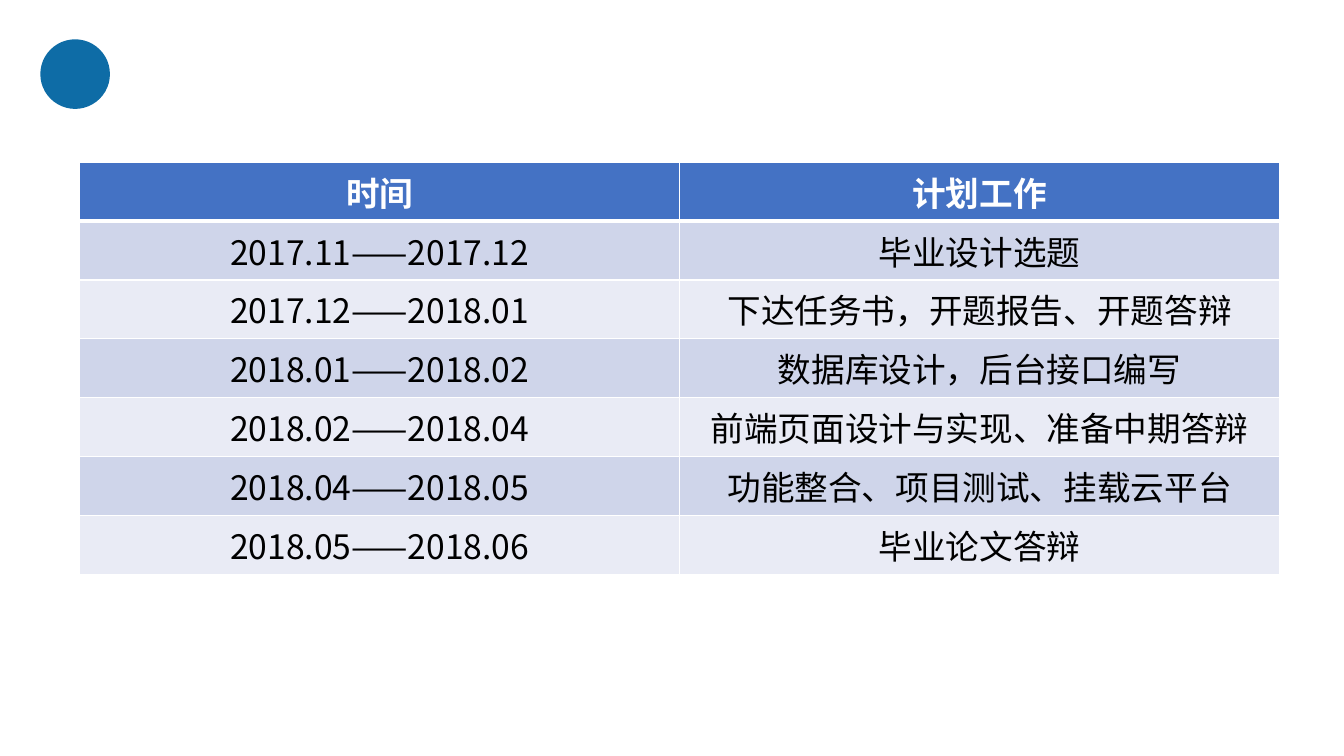
import pptx
import pptx.dml.color
import pptx.enum.shapes
import pptx.enum.text
import pptx.oxml.ns
import pptx.util
from lxml import etree

Inches = pptx.util.Inches
Pt = pptx.util.Pt
RGB = pptx.dml.color.RGBColor.from_string
qn = pptx.oxml.ns.qn

FONT = "Noto Sans CJK SC"
COLORS = {
    "dot": "0E6CA6",
    "header": "4472C4",
    "odd": "CFD5EA",
    "even": "E9EBF5",
    "white": "FFFFFF",
    "black": "000000",
}
SCHEDULE = [
    ("时间", "计划工作"),
    ("2017.11——2017.12", "毕业设计选题"),
    ("2017.12——2018.01", "下达任务书，开题报告、开题答辩"),
    ("2018.01——2018.02", "数据库设计，后台接口编写"),
    ("2018.02——2018.04", "前端页面设计与实现、准备中期答辩"),
    ("2018.04——2018.05", "功能整合、项目测试、挂载云平台"),
    ("2018.05——2018.06", "毕业论文答辩"),
]
ROW_HEIGHTS = [0.42] + [0.5] * 3 + [0.56] * 3


def add_border(cell, side, width):
    """Draw a white border on one side (L, R, T or B), width in points."""
    pr = cell._tc.get_or_add_tcPr()
    ln = etree.Element(qn("a:ln" + side), w=str(Pt(width)))
    fill = etree.SubElement(ln, qn("a:solidFill"))
    etree.SubElement(fill, qn("a:srgbClr"), val=COLORS["white"])
    pr.insert(len(pr.findall("*")), ln)


prs = pptx.Presentation()
prs.slide_width, prs.slide_height = Inches(13.33), Inches(7.5)
s = prs.slides.add_slide(prs.slide_layouts[6])

dot = s.shapes.add_shape(pptx.enum.shapes.MSO_SHAPE.OVAL,
                         Inches(0.4), Inches(0.39), Inches(0.69), Inches(0.69))
dot.shadow.inherit = False
dot.fill.solid()
dot.fill.fore_color.rgb = RGB(COLORS["dot"])
dot.line.fill.background()

table = s.shapes.add_table(len(SCHEDULE), 2, Inches(0.79), Inches(1.61),
                           Inches(11.9), Inches(sum(ROW_HEIGHTS))).table
for i, (texts, height) in enumerate(zip(SCHEDULE, ROW_HEIGHTS)):
    table.rows[i].height = Inches(height)
    is_header = i == 0
    band = "header" if is_header else "odd" if i % 2 else "even"
    for j, text in enumerate(texts):
        cell = table.cell(i, j)
        for side in "LRTB":
            thick = (is_header and side == "B") or (i == 1 and side == "T")
            add_border(cell, side, 3 if thick else 1)
        cell.fill.solid()
        cell.fill.fore_color.rgb = RGB(COLORS[band])
        cell.text = text
        p = cell.text_frame.paragraphs[0]
        p.alignment = pptx.enum.text.PP_ALIGN.CENTER
        p.font.size = Pt(24)
        p.font.bold = is_header
        p.font.color.rgb = RGB(COLORS["white" if is_header else "black"])
        p.font.name = FONT
        latin = p._p.find(".//" + qn("a:latin"))
        latin.addnext(etree.Element(qn("a:ea"), typeface=FONT))

prs.save("out.pptx")
